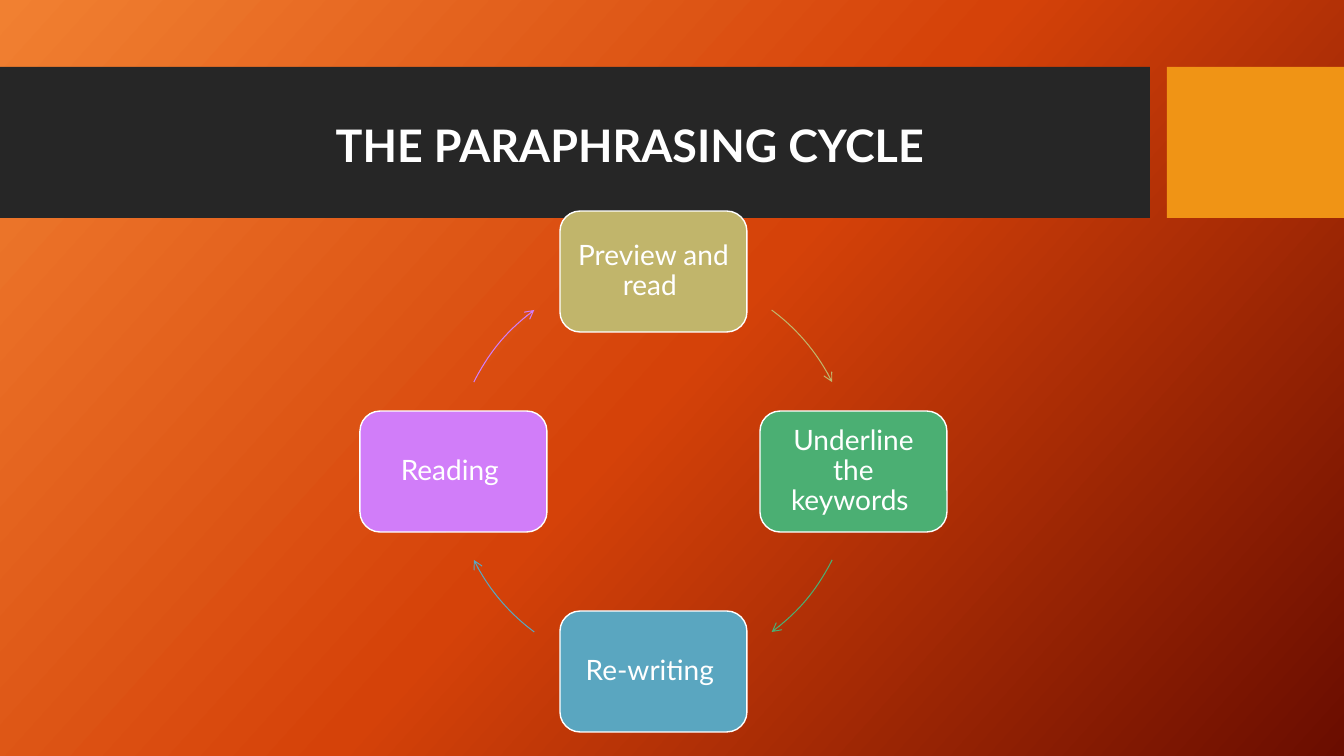
from copy import deepcopy
from dataclasses import dataclass
from math import cos, radians, sin

from lxml import etree
from pptx import Presentation
from pptx import util as u
from pptx.dml.color import RGBColor
from pptx.enum import shapes, text
from pptx.oxml.ns import qn

SCALE = 914400 / 100.8
MID = (653, 471)
RADIUS = 200
NODE = (187, 121)
PAD = 8
ARC_MIDS = (50, 130, 230, 310)
ARC_SWEEP = 27.2


@dataclass(frozen=True)
class Theme:
    """Colours and type sizes of the slide."""
    font: str = "Lato"
    white: str = "FFFFFF"
    band: str = "262626"
    block: str = "F09415"
    back: tuple = ((0, "F18031"), (0.5, "D54209"), (1, "6A0D00"))
    angle: int = 42
    steps: tuple = ("C1B56B", "4BAF73", "5AA6C0", "D17DF9")
    title: int = 32
    body: int = 20
    edge: float = 1
    arc: float = 0.75


THEME = Theme()
STEPS = ("Preview and read ", "Underline the keywords ", "Re-writing ", "Reading ")


def px(*lengths):
    """Turn pixels into EMU."""
    return [u.Emu(round(n * SCALE)) for n in lengths]


def rgb(code):
    """Read a hex colour."""
    return RGBColor.from_string(code)


def paint_back(slide):
    """Fill the background with the three-stop gradient."""
    fill = slide.background.fill
    fill.gradient()
    stops = slide.element.find(".//" + qn("a:gsLst"))
    stops.append(deepcopy(stops[0]))
    for stop, (place, code) in zip(fill.gradient_stops, THEME.back):
        stop.position = place
        stop.color.rgb = rgb(code)
    fill.gradient_angle = 360 - THEME.angle


def add_form(slide, kind, box, fill=None, line=None, width=THEME.edge):
    """Add a flat preset shape."""
    form = slide.shapes.add_shape(kind, *px(*box))
    form.shadow.inherit = False
    if fill:
        form.fill.solid()
        form.fill.fore_color.rgb = rgb(fill)
    else:
        form.fill.background()
    if line:
        form.line.color.rgb = rgb(line)
        form.line.width = u.Pt(width)
    else:
        form.line.fill.background()
    return form


def write(form, words, size, bold=False):
    """Set one centred white paragraph in a form."""
    frame = form.text_frame
    frame.word_wrap = True
    para = frame.paragraphs[0]
    para.alignment = text.PP_ALIGN.CENTER
    run = para.add_run()
    run.text = words
    run.font.name = THEME.font
    run.font.size = u.Pt(size)
    run.font.bold = bold
    run.font.color.rgb = rgb(THEME.white)
    return frame


def add_node(slide, words, color, turn):
    """Add a step box on the cycle at a clockwise turn from the top."""
    wide, high = NODE
    left = MID[0] + round(RADIUS * sin(radians(turn))) - wide // 2
    top = MID[1] - round(RADIUS * cos(radians(turn))) - high // 2
    node = add_form(slide, shapes.MSO_SHAPE.ROUNDED_RECTANGLE,
                    (left, top, wide, high), color, THEME.white)
    frame = write(node, words, THEME.body)
    frame.vertical_anchor = text.MSO_ANCHOR.MIDDLE
    frame.paragraphs[0].line_spacing = 0.9
    for side in ("left", "right", "top", "bottom"):
        setattr(frame, "margin_" + side, px(PAD)[0])


def add_arc(slide, color, mid):
    """Add a clockwise arrow centred on an angle from the top."""
    box = (MID[0] - RADIUS, MID[1] - RADIUS, 2 * RADIUS, 2 * RADIUS)
    arc = add_form(slide, shapes.MSO_SHAPE.ARC, box, line=color, width=THEME.arc)
    for i, shift in enumerate((-ARC_SWEEP / 2, ARC_SWEEP / 2)):
        arc.adjustments[i] = (mid + shift - 90) % 360 * 0.6
    line = arc.element.spPr.find(qn("a:ln"))
    etree.SubElement(line, qn("a:tailEnd"), type="arrow")


def add_title(slide, words, box):
    """Add the bold slide title."""
    label = slide.shapes.add_textbox(*px(*box))
    write(label, words, THEME.title, bold=True)


def main():
    """Build and save the slide."""
    deck = Presentation()
    deck.slide_width, deck.slide_height = px(1344, 756)
    slide = deck.slides.add_slide(deck.slide_layouts[6])
    paint_back(slide)
    for left, wide, color in ((0, 1150, THEME.band), (1167, 177, THEME.block)):
        add_form(slide, shapes.MSO_SHAPE.RECTANGLE, (left, 67, wide, 151), color)
    for i, (words, color, mid) in enumerate(zip(STEPS, THEME.steps, ARC_MIDS)):
        add_node(slide, words, color, i * 360 / len(STEPS))
        add_arc(slide, color, mid)
    add_title(slide, "THE PARAPHRASING CYCLE ", (251, 113, 769, 65))
    deck.save("out.pptx")


main()
